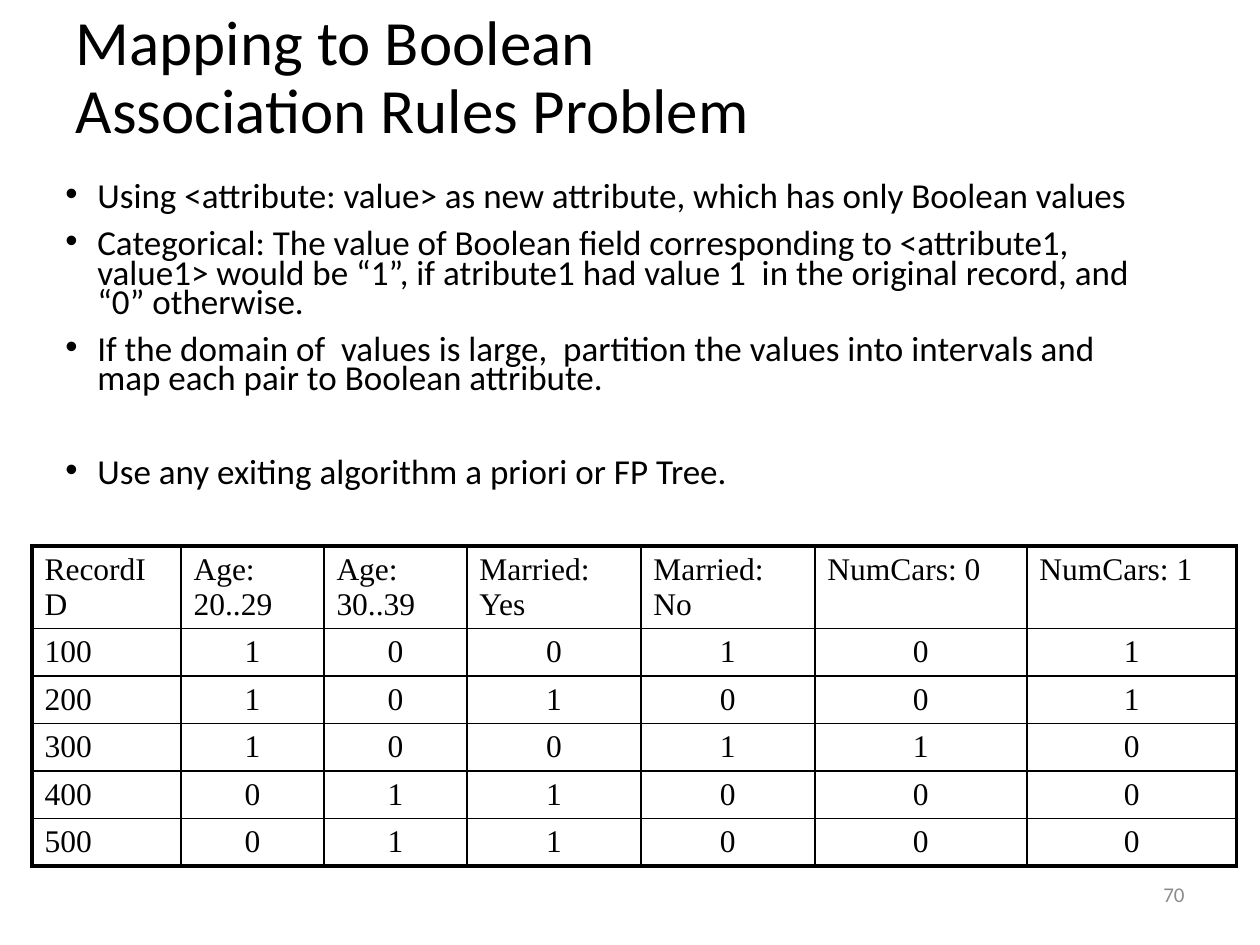
from copy import deepcopy

from lxml import etree
from pptx import Presentation
from pptx.dml.color import RGBColor
from pptx.enum.text import MSO_ANCHOR, MSO_AUTO_SIZE, PP_ALIGN
from pptx.oxml.ns import qn
from pptx.util import Pt

PX = 914400 // 126
LEFT, CENTER, RIGHT = PP_ALIGN.LEFT, PP_ALIGN.CENTER, PP_ALIGN.RIGHT
TOP, MIDDLE = MSO_ANCHOR.TOP, MSO_ANCHOR.MIDDLE
NO_AUTOFIT = MSO_AUTO_SIZE.NONE

BLACK = RGBColor(0x00, 0x00, 0x00)
GRAY = RGBColor(0x8C, 0x8C, 0x8C)

TITLE_FONT = {"name": "Calibri", "size": Pt(36), "color": BLACK}
BODY_FONT = {"name": "Calibri", "size": Pt(20), "color": BLACK}
NUMBER_FONT = {"name": "Calibri", "size": Pt(12), "color": GRAY}
TABLE_FONT = {"name": "Times New Roman", "size": Pt(18), "color": BLACK}

TITLE_LINES = ["Mapping to Boolean", "Association Rules Problem"]
# Each bullet with its space before, in points
BULLETS = [
    ("Using <attribute: value> as new attribute, which has only Boolean values", 0),
    ("Categorical: The value of Boolean field corresponding to <attribute1, "
     "value1> would be “1”, if atribute1 had value 1  in the original record, "
     "and “0” otherwise.", 10),
    ("If the domain of  values is large,  partition the values into intervals "
     "and map each pair to Boolean attribute.", 10),
    ("Use any exiting algorithm a priori or FP Tree.", 37),
]
RECORDS = [
    ["RecordID", "Age: 20..29", "Age: 30..39", "Married: Yes", "Married: No",
     "NumCars: 0", "NumCars: 1"],
    ["100", "1", "0", "0", "1", "0", "1"],
    ["200", "1", "0", "1", "0", "0", "1"],
    ["300", "1", "0", "0", "1", "1", "0"],
    ["400", "0", "1", "1", "0", "0", "0"],
    ["500", "0", "1", "1", "0", "0", "0"],
]
COLUMN_WIDTHS = [149, 143, 143, 174, 174, 212, 210]
HEADER_HEIGHT, RECORD_HEIGHT = 82, 47
OUTER_LINE, INNER_LINE = Pt(2.25), Pt(1)


def to_emu(box):
    return [value * PX for value in box]


def set_attributes(target, values):
    for name, value in values.items():
        setattr(target, name, value)


def add_run(paragraph, text, font_values):
    run = paragraph.add_run()
    run.text = text
    for name, value in font_values.items():
        if name == "color":
            run.font.color.rgb = value
        else:
            setattr(run.font, name, value)
    return run


def format_frame(frame, anchor):
    set_attributes(frame, {"word_wrap": True, "auto_size": NO_AUTOFIT,
                           "vertical_anchor": anchor})


def add_bullet(paragraph, indent):
    properties = paragraph._p.get_or_add_pPr()
    properties.set("marL", str(indent))
    properties.set("indent", str(-indent))
    etree.SubElement(properties, qn("a:buFont"), typeface="Arial")
    etree.SubElement(properties, qn("a:buChar"), char="•")


def place_title(slide, box):
    title = slide.shapes.title
    title.left, title.top, title.width, title.height = to_emu(box)
    format_frame(title.text_frame, MIDDLE)
    paragraph = title.text_frame.paragraphs[0]
    set_attributes(paragraph, {"alignment": LEFT, "line_spacing": 0.9})
    for index, line in enumerate(TITLE_LINES):
        if index:
            paragraph.add_line_break()
        run = add_run(paragraph, line, TITLE_FONT)
    # The line break takes the size of the text around it
    for line_break in paragraph._p.findall(qn("a:br")):
        line_break.append(deepcopy(run._r.rPr))


def add_bullets(slide, box):
    frame = slide.shapes.add_textbox(*to_emu(box)).text_frame
    format_frame(frame, TOP)
    for index, (text, space_before) in enumerate(BULLETS):
        paragraph = frame.add_paragraph() if index else frame.paragraphs[0]
        add_bullet(paragraph, 32 * PX)
        set_attributes(paragraph, {"line_spacing": 0.7,
                                   "space_before": Pt(space_before)})
        add_run(paragraph, text, BODY_FONT)


def set_borders(cell, widths):
    properties = cell._tc.get_or_add_tcPr()
    for side, width in widths.items():
        line = etree.SubElement(properties, qn(f"a:ln{side}"), w=str(width))
        fill = etree.SubElement(line, qn("a:solidFill"))
        etree.SubElement(fill, qn("a:srgbClr"), val=str(BLACK))


def add_record_table(slide, left, top):
    last_row, last_column = len(RECORDS) - 1, len(COLUMN_WIDTHS) - 1
    height = HEADER_HEIGHT + last_row * RECORD_HEIGHT
    box = to_emu((left, top, sum(COLUMN_WIDTHS), height))
    table = slide.shapes.add_table(len(RECORDS), len(COLUMN_WIDTHS), *box).table
    set_attributes(table, {"first_row": False, "horz_banding": False})
    for column, width in zip(table.columns, COLUMN_WIDTHS):
        column.width = width * PX
    for row_index, record in enumerate(RECORDS):
        row_height = RECORD_HEIGHT if row_index else HEADER_HEIGHT
        table.rows[row_index].height = row_height * PX
        for column_index, text in enumerate(record):
            cell = table.cell(row_index, column_index)
            # Heavy frame outside, thin grid inside
            on_edge = {"L": column_index == 0, "R": column_index == last_column,
                       "T": row_index == 0, "B": row_index == last_row}
            set_borders(cell, {side: OUTER_LINE if outer else INNER_LINE
                               for side, outer in on_edge.items()})
            cell.fill.background()
            paragraph = cell.text_frame.paragraphs[0]
            paragraph.alignment = CENTER if row_index and column_index else LEFT
            add_run(paragraph, text, TABLE_FONT)


def add_slide_number(slide, box, number):
    frame = slide.shapes.add_textbox(*to_emu(box)).text_frame
    format_frame(frame, MIDDLE)
    frame.paragraphs[0].alignment = RIGHT
    add_run(frame.paragraphs[0], number, NUMBER_FONT)


def main():
    presentation = Presentation()
    presentation.slide_width, presentation.slide_height = to_emu((1260, 945))
    slide = presentation.slides.add_slide(presentation.slide_layouts[5])
    place_title(slide, (63, 0, 1134, 158))
    add_bullets(slide, (53, 179, 1124, 325))
    add_record_table(slide, 32, 546)
    add_slide_number(slide, (903, 861, 294, 66), "70")
    presentation.save("out.pptx")


if __name__ == "__main__":
    main()
